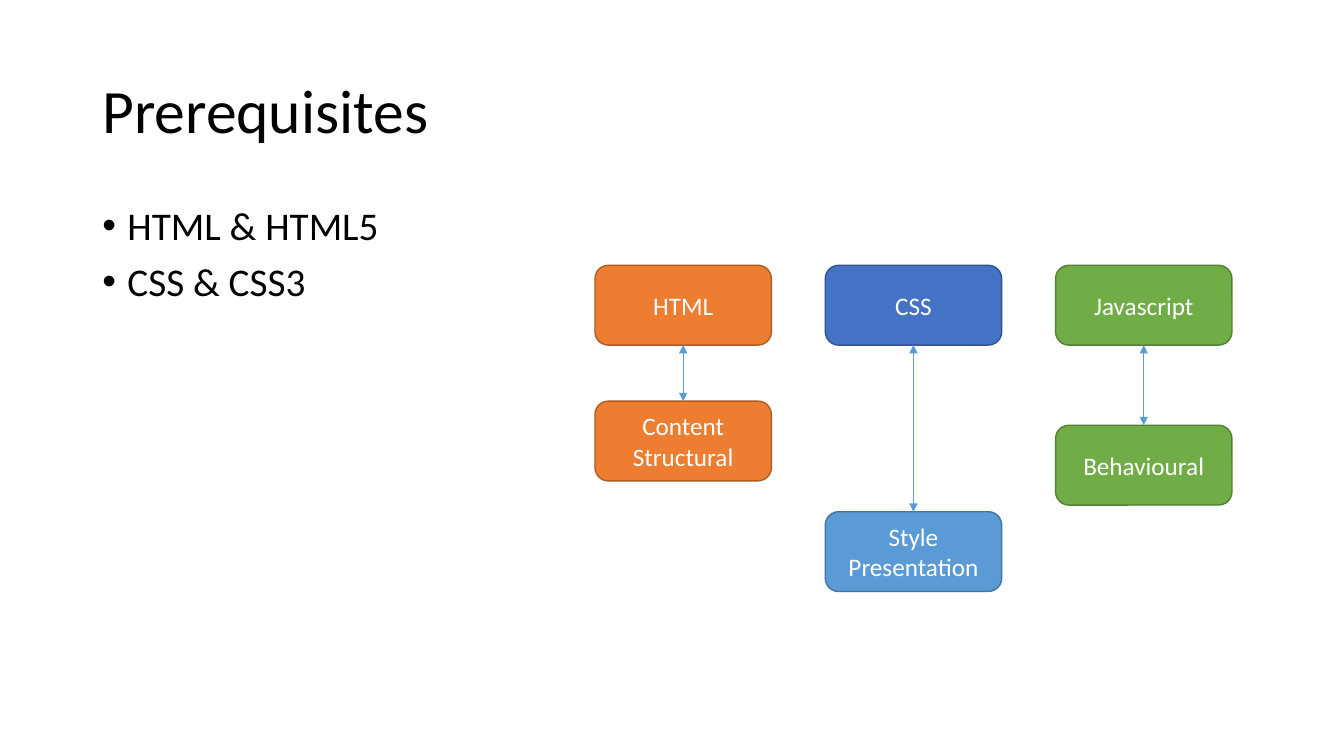
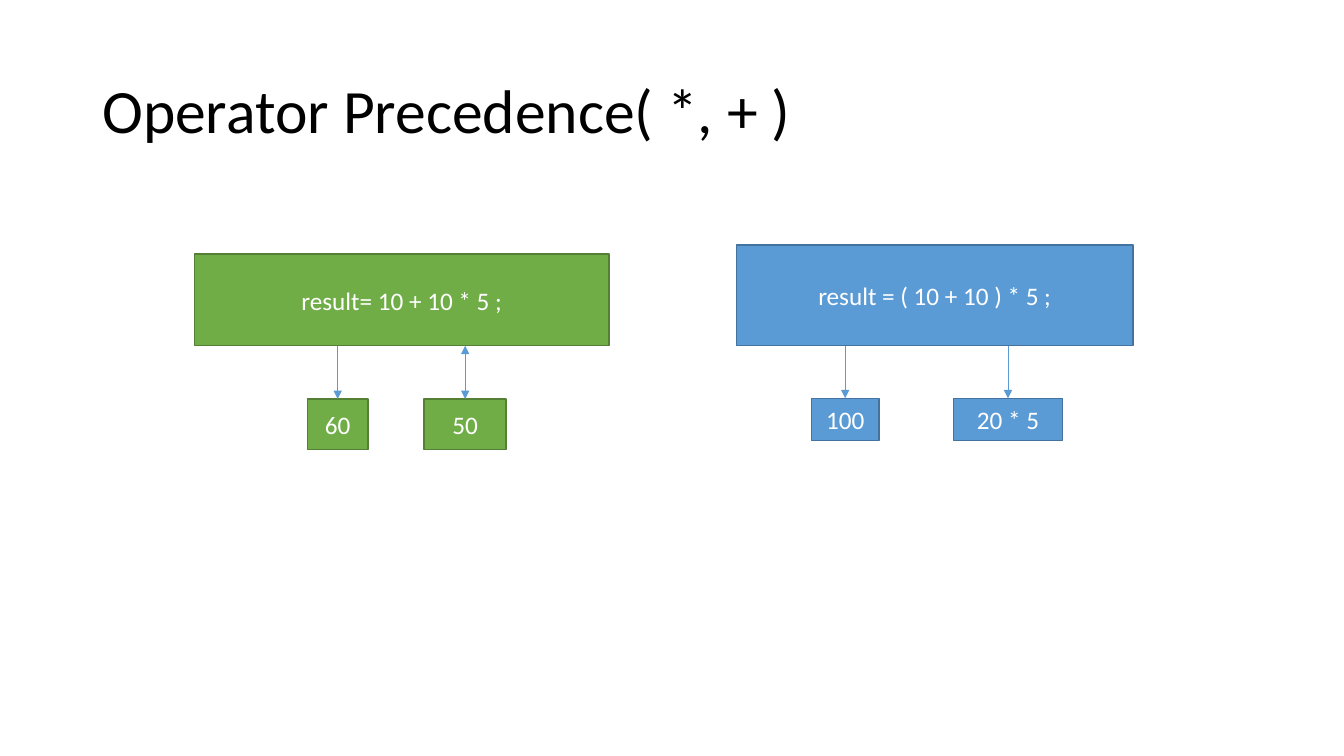
"""Build two slides on web basics and operator precedence."""
import dataclasses

import lxml.etree
import pptx
import pptx.dml.color
import pptx.enum.shapes
import pptx.enum.text
import pptx.oxml.ns
import pptx.slide
import pptx.text.text
import pptx.util

Pt = pptx.util.Pt
qn = pptx.oxml.ns.qn
KIND = pptx.enum.shapes.MSO_SHAPE
ALIGN = pptx.enum.text.PP_ALIGN
ANCHOR = pptx.enum.text.MSO_ANCHOR

FONT = "Calibri"
HEX = {
    "black": "000000",
    "white": "FFFFFF",
    "orange": "ED7D31",
    "rust": "AF5C24",
    "navy": "4472C4",
    "ink": "325491",
    "green": "70AD47",
    "moss": "538035",
    "blue": "5B9BD5",
    "steel": "43739E",
}
EDGE = {"orange": "rust", "navy": "ink", "green": "moss", "blue": "steel"}


@dataclasses.dataclass
class Box:
    text: str
    left: float
    top: float
    width: float
    height: float
    fill: str
    kind: KIND = KIND.RECTANGLE


@dataclasses.dataclass
class Link:
    start: Box
    end: Box
    double: bool = False


def tint(name: str) -> pptx.dml.color.RGBColor:
    return pptx.dml.color.RGBColor.from_string(HEX[name])


def style(para: pptx.text.text._Paragraph, size: float, hue: str) -> None:
    for run in para.runs:
        run.font.name = FONT
        run.font.size = Pt(size)
        run.font.color.rgb = tint(hue)


def add_text(slide: pptx.slide.Slide, lines: list[str], top: float, height: float,
             size: float, anchor: ANCHOR, bullet: bool = False) -> None:
    shape = slide.shapes.add_textbox(Pt(66), Pt(top), Pt(828), Pt(height))
    frame = shape.text_frame
    frame.word_wrap = True
    frame.vertical_anchor = anchor
    frame.text = "\n".join(lines)
    for para in frame.paragraphs:
        para.line_spacing = 0.9
        style(para, size, "black")
        if bullet:
            para.space_before = Pt(10)
            props = para._p.get_or_add_pPr()
            props.set("marL", str(Pt(18)))
            props.set("indent", str(Pt(-18)))
            lxml.etree.SubElement(props, qn("a:buFont")).set("typeface", "Arial")
            lxml.etree.SubElement(props, qn("a:buChar")).set("char", "•")


def add_box(slide: pptx.slide.Slide, box: Box) -> None:
    shape = slide.shapes.add_shape(
        box.kind, Pt(box.left), Pt(box.top), Pt(box.width), Pt(box.height))
    shape.shadow.inherit = False
    shape.fill.solid()
    shape.fill.fore_color.rgb = tint(box.fill)
    shape.line.color.rgb = tint(EDGE[box.fill])
    shape.line.width = Pt(1)
    frame = shape.text_frame
    frame.word_wrap = True
    frame.vertical_anchor = ANCHOR.MIDDLE
    frame.text = box.text
    para = frame.paragraphs[0]
    para.alignment = ALIGN.CENTER
    style(para, 18, "white")


def add_link(slide: pptx.slide.Slide, link: Link) -> None:
    mid = Pt(link.end.left + link.end.width / 2)
    line = slide.shapes.add_connector(
        pptx.enum.shapes.MSO_CONNECTOR.STRAIGHT,
        mid, Pt(link.start.top + link.start.height), mid, Pt(link.end.top))
    line.line.color.rgb = tint("blue")
    line.line.width = Pt(0.5)
    stroke = line.line._get_or_add_ln()
    for tag in ("a:headEnd", "a:tailEnd") if link.double else ("a:tailEnd",):
        lxml.etree.SubElement(stroke, qn(tag)).set("type", "triangle")
    lxml.etree.SubElement(line._element.spPr, qn("a:effectLst"))


def add_slide(deck: pptx.Presentation, title: str, boxes: list[Box],
              links: list[Link]) -> pptx.slide.Slide:
    slide = deck.slides.add_slide(deck.slide_layouts[6])
    add_text(slide, [title], 28.75, 104.4, 44, ANCHOR.MIDDLE)
    for box in boxes:
        add_box(slide, box)
    for link in links:
        add_link(slide, link)
    return slide


def main() -> None:
    deck = pptx.Presentation()
    deck.slide_width, deck.slide_height = Pt(960), Pt(540)

    pairs = [
        ("HTML", "orange", "Content Structural", "orange", 286.5),
        ("CSS", "navy", "Style Presentation", "blue", 365.5),
        ("Javascript", "green", "Behavioural", "green", 303.75),
    ]
    boxes, links = [], []
    for i, (name, hue, role, shade, top) in enumerate(pairs):
        left = 425 + 164.5 * i
        head = Box(name, left, 189.5, 126, 57, hue, KIND.ROUNDED_RECTANGLE)
        foot = Box(role, left, top, 126, 57, shade, KIND.ROUNDED_RECTANGLE)
        boxes += [head, foot]
        links.append(Link(head, foot, True))
    slide = add_slide(deck, "Prerequisites", boxes, links)
    add_text(slide, ["HTML & HTML5", "CSS & CSS3"], 143.75, 342.6, 28, ANCHOR.TOP, True)

    sum_box = Box("result= 10 + 10 * 5 ;", 139, 181.5, 296, 65.5, "green")
    sixty = Box("60", 219.5, 285, 43.5, 36, "green")
    fifty = Box("50", 303, 285, 58.5, 36, "green")
    group = Box("result = ( 10 + 10 ) * 5 ;", 526.25, 175, 283, 72, "blue")
    total = Box("100", 579.5, 284.5, 48.5, 30, "blue")
    step = Box("20 * 5", 681, 284.5, 78, 30, "blue")
    add_slide(
        deck, "Operator Precedence( *, + )",
        [sum_box, sixty, fifty, group, total, step],
        [Link(sum_box, fifty, True), Link(sum_box, sixty),
         Link(group, step), Link(group, total)])

    deck.save("out.pptx")


main()
